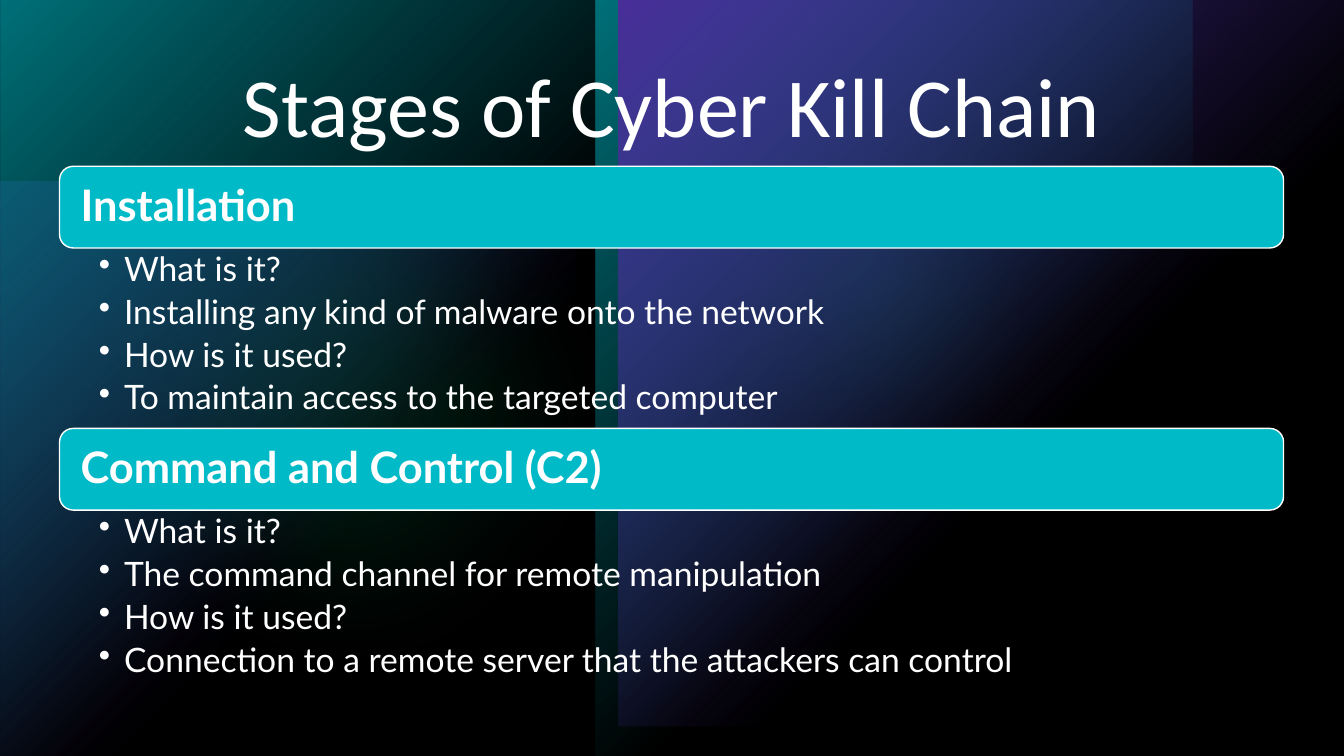
"""Builds a slide on two stages of the cyber kill chain."""
from typing import NamedTuple, Optional

from lxml.etree import SubElement
from pptx import Presentation
from pptx.dml.color import RGBColor
from pptx.enum.shapes import MSO_SHAPE as Preset
from pptx.enum.text import MSO_ANCHOR as Anchor, PP_ALIGN as Align
from pptx.oxml.ns import qn
from pptx.util import Emu, Inches, Pt

WHITE = RGBColor(0xFF, 0xFF, 0xFF)
BLACK = RGBColor(0x00, 0x00, 0x00)
TEAL = RGBColor(0x00, 0xBA, 0xC8)
VIOLET = RGBColor(0x79, 0x4D, 0xFF)
GREEN = RGBColor(0x00, 0xD1, 0x7D)

WIDTH, HEIGHT = Inches(13.33), Inches(7.5)
MARGIN, BODY_WIDTH = 4.43, 91.07
FIRST_BAR, STAGE_PITCH = 22, 34.67
BAR_HEIGHT, LIST_HEIGHT = 10.8, 23.87


class Area(NamedTuple):
    """Left, top, width and height in percent of the slide."""
    left: float
    top: float
    width: float
    height: float

    def lengths(self) -> tuple:
        """Return the four lengths for python-pptx."""
        sides = (WIDTH, HEIGHT, WIDTH, HEIGHT)
        return tuple(Emu(round(side * share / 100)) for side, share in zip(sides, self))


class Glow(NamedTuple):
    """A translucent background shape; a gradient fades out at 60 percent."""
    preset: Preset
    area: Area
    color: RGBColor
    opacity: int
    gradient: bool = False
    soft: bool = False
    turn: int = 0
    flips: str = "V"


class Stage(NamedTuple):
    """A stage of the chain with its explanation."""
    name: str
    points: tuple


class Style(NamedTuple):
    """Font settings of a text."""
    font: str
    size: int
    bold: Optional[bool] = None
    align: Align = Align.LEFT
    after: float = 0


TITLE = Style("Calibri", 60, align=Align.CENTER)
HEADING = Style("Lato", 31, bold=True)
POINT = Style("Lato", 24, after=4.8)

GLOWS = (
    Glow(Preset.RECTANGLE, Area(0, 24, 42.84, 76.13), VIOLET, 60, gradient=True),
    Glow(Preset.OVAL, Area(47.19, 5.73, 35.41, 62.93), GREEN, 60, soft=True),
    Glow(Preset.OVAL, Area(0, 7.47, 52.06, 92.53), GREEN, 20, soft=True),
    Glow(Preset.RECTANGLE, Area(0, 0, 44.34, 100), TEAL, 100, gradient=True, turn=180),
    Glow(Preset.RECTANGLE, Area(44.34, 0, 44.34, 100), TEAL, 100, gradient=True,
         turn=180, flips="HV"),
    Glow(Preset.RECTANGLE, Area(45.99, 0, 54.01, 96.13), VIOLET, 100, gradient=True, turn=180),
    Glow(Preset.RECTANGLE, Area(0, 0, 100, 100), BLACK, 40, flips=""),
)

STAGES = (
    Stage("Installation", (
        "What is it?",
        "Installing any kind of malware onto the network",
        "How is it used?",
        "To maintain access to the targeted computer",
    )),
    Stage("Command and Control (C2)", (
        "What is it?",
        "The command channel for remote manipulation",
        "How is it used?",
        "Connection to a remote server that the attackers can control",
    )),
)


def add_color(parent, color: RGBColor, opacity: int) -> None:
    """Add a colour with the given opacity in percent."""
    element = SubElement(parent, qn("a:srgbClr"), val=str(color))
    SubElement(element, qn("a:alpha"), val=str(opacity * 1000))


def add_glow(page, glow: Glow) -> None:
    """Draw one background shape."""
    shape = page.shapes.add_shape(glow.preset, *glow.area.lengths())
    shape.rotation = glow.turn
    shape.line.fill.background()
    properties = shape.element.spPr
    for axis in glow.flips:
        properties.find(qn("a:xfrm")).set(f"flip{axis}", "1")
    line = properties.find(qn("a:ln"))
    if glow.gradient:
        fill = SubElement(properties, qn("a:gradFill"), rotWithShape="1")
        stops = SubElement(fill, qn("a:gsLst"))
        for position, opacity in ((0, glow.opacity), (60, 0)):
            stop = SubElement(stops, qn("a:gs"), pos=str(position * 1000))
            add_color(stop, glow.color, opacity)
        focus = SubElement(fill, qn("a:path"), path="circle")
        SubElement(focus, qn("a:fillToRect"), r="100000", b="100000")
    else:
        fill = SubElement(properties, qn("a:solidFill"))
        add_color(fill, glow.color, glow.opacity)
    line.addprevious(fill)
    effects = SubElement(properties, qn("a:effectLst"))
    if glow.soft:
        SubElement(effects, qn("a:softEdge"), rad=str(Pt(100)))


def write(frame, lines: tuple, style: Style) -> None:
    """Fill a text frame with one paragraph per line."""
    frame.word_wrap = True
    for index, line in enumerate(lines):
        para = frame.add_paragraph() if index else frame.paragraphs[0]
        para.text = line
        para.alignment = style.align
        para.line_spacing = 0.9
        para.space_after = Pt(style.after)
        para.font.name, para.font.size = style.font, Pt(style.size)
        para.font.bold, para.font.color.rgb = style.bold, WHITE


def add_bar(page, name: str, area: Area) -> None:
    """Draw the rounded heading bar of a stage."""
    bar = page.shapes.add_shape(Preset.ROUNDED_RECTANGLE, *area.lengths())
    bar.shadow.inherit = False
    bar.fill.solid()
    bar.fill.fore_color.rgb = TEAL
    bar.line.color.rgb, bar.line.width = WHITE, Pt(1)
    frame = bar.text_frame
    frame.margin_left = frame.margin_right = Inches(0.17)
    frame.vertical_anchor = Anchor.MIDDLE
    write(frame, (name,), HEADING)


def add_points(page, points: tuple, area: Area) -> None:
    """Write the bulleted list of a stage."""
    frame = page.shapes.add_textbox(*area.lengths()).text_frame
    frame.margin_left, frame.margin_right = Inches(0.39), Inches(0.24)
    frame.margin_top = frame.margin_bottom = Inches(0.04)
    write(frame, points, POINT)
    for para in frame.paragraphs:
        properties = para._p.get_or_add_pPr()
        properties.set("marL", str(Inches(0.25)))
        properties.set("indent", str(Inches(-0.25)))
        SubElement(properties, qn("a:buChar"), char="•")
        properties.append(properties.find(qn("a:defRPr")))


def build() -> None:
    """Build and save the deck."""
    deck = Presentation()
    deck.slide_width, deck.slide_height = WIDTH, HEIGHT
    page = deck.slides.add_slide(deck.slide_layouts[6])
    page.background.fill.solid()
    page.background.fill.fore_color.rgb = BLACK
    for glow in GLOWS:
        add_glow(page, glow)
    title = page.shapes.add_textbox(*Area(MARGIN, 7.87, BODY_WIDTH, 15.47).lengths())
    write(title.text_frame, ("Stages of Cyber Kill Chain",), TITLE)
    for index, stage in enumerate(STAGES):
        top = FIRST_BAR + index * STAGE_PITCH
        add_bar(page, stage.name, Area(MARGIN, top, BODY_WIDTH, BAR_HEIGHT))
        add_points(page, stage.points, Area(MARGIN, top + BAR_HEIGHT, BODY_WIDTH, LIST_HEIGHT))
    deck.save("out.pptx")


build()
